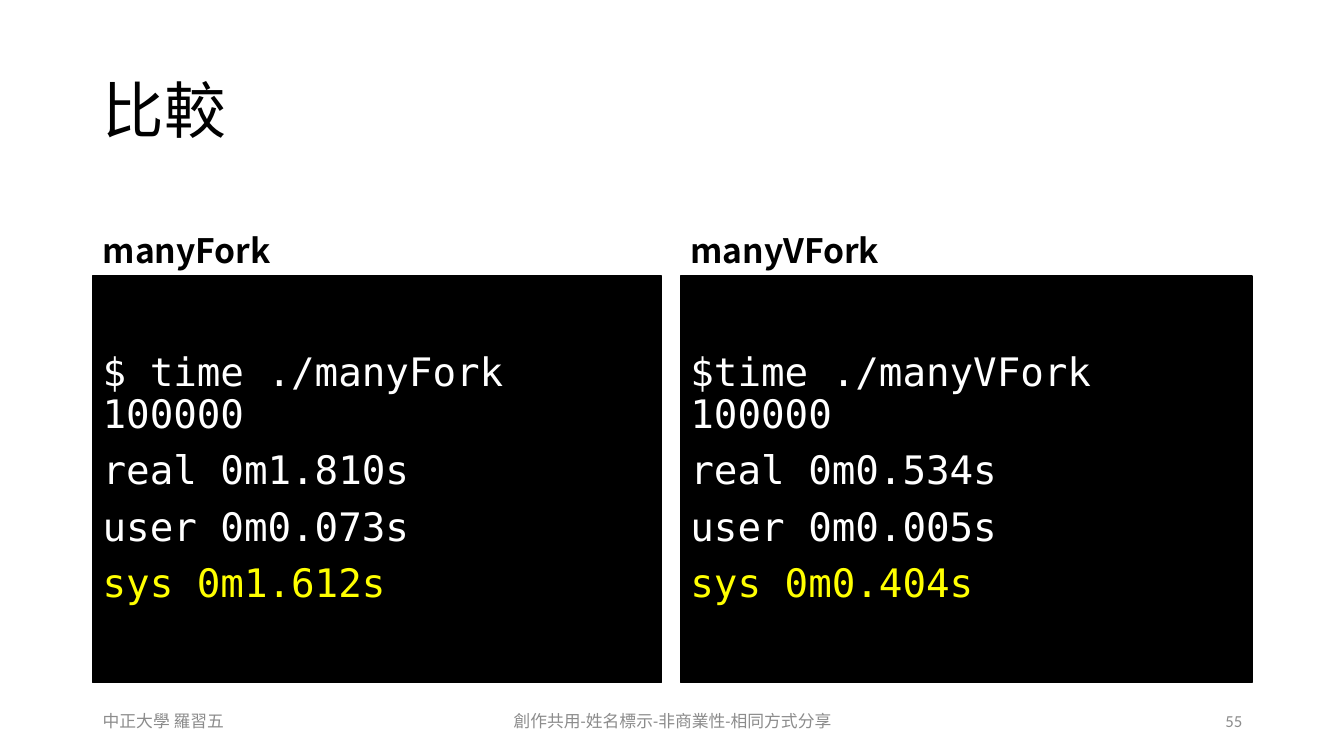
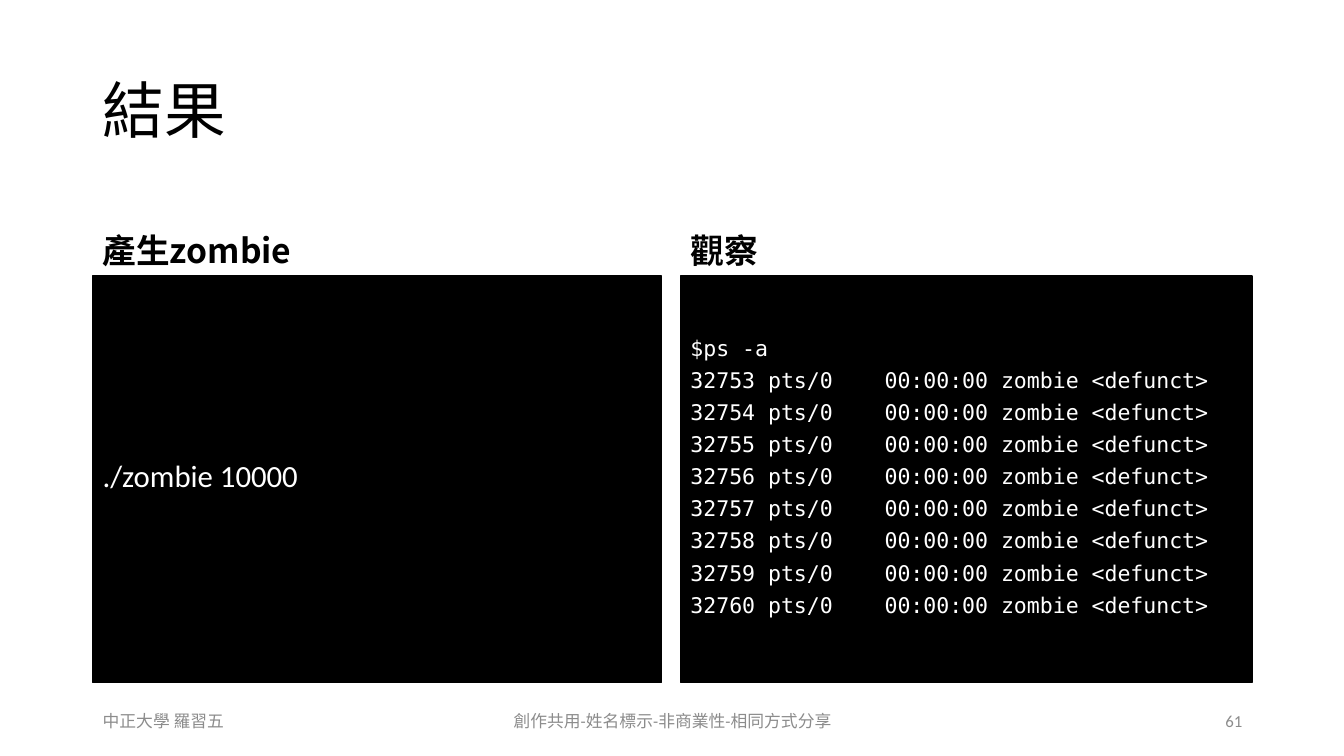
from pptx import Presentation
from pptx.dml.color import RGBColor
from pptx.enum.shapes import MSO_SHAPE
from pptx.enum.text import MSO_ANCHOR as Anchor, PP_ALIGN as Align
from pptx.oxml.ns import qn
from pptx.util import Inches, Pt
from lxml import etree

BLACK = RGBColor(0, 0, 0)
WHITE = RGBColor(255, 255, 255)
YELLOW = RGBColor(255, 255, 0)
GRAY = RGBColor(0x8C, 0x8C, 0x8C)
SANS, MONO, LATIN = "Noto Sans CJK SC", "DejaVu Sans Mono", "Calibri"
TITLE_ONLY = 5
COLUMNS = [(0.92, 5.64), (6.75, 5.67)]
HEADING_TOP, PANEL_TOP = 1.84, 2.74

PROCESSES = [f"{pid} pts/0\u00a0 \u00a0 00:00:00 zombie <defunct>"
             for pid in range(32753, 32761)]

# Each panel: heading, lines, font, size, line spacing
SLIDES = [
    ("比較", 55, [
        ("manyFork",
         ["$ time ./manyFork 100000", "real 0m1.810s", "user 0m0.073s", "sys 0m1.612s"],
         MONO, 28, 0.9),
        ("manyVFork",
         ["$time ./manyVFork 100000", "real 0m0.534s", "user 0m0.005s", "sys 0m0.404s"],
         MONO, 28, 0.9),
    ]),
    ("結果", 61, [
        ("產生zombie", ["./zombie 10000"], LATIN, 22, 0.7),
        ("觀察", ["$ps -a", *PROCESSES], MONO, 15.4, 0.7),
    ]),
]

FOOTERS = [
    (0.92, 3, Align.LEFT, "中正大學 羅習五"),
    (4.42, 4.5, Align.CENTER, "創作共用-姓名標示-非商業性-相同方式分享"),
    (9.42, 3, Align.RIGHT, "{number}"),
]


def write(shape, lines, font, size, color, anchor, align=Align.LEFT,
          bold=False, spacing=1.0, before=0):
    """Fill a shape with one uniformly formatted paragraph per line."""
    frame = shape.text_frame
    frame.word_wrap = True
    frame.vertical_anchor = anchor
    frame.text = "\n".join(lines)
    for para in frame.paragraphs:
        para.alignment = align
        para.line_spacing = spacing
        para.space_before = Pt(before)
        for span in para.runs:
            span.font.name = font
            span.font.size = Pt(size)
            span.font.bold = bold
            span.font.color.rgb = color
            east_asian = etree.Element(qn("a:ea"), typeface=SANS)
            span.font._element.find(qn("a:latin")).addnext(east_asian)


deck = Presentation()
deck.slide_width, deck.slide_height = Inches(13.33), Inches(7.5)

for title_text, number, panels in SLIDES:
    page = deck.slides.add_slide(deck.slide_layouts[TITLE_ONLY])
    title = page.shapes.title
    title.left, title.top = Inches(0.92), Inches(0.4)
    title.width, title.height = Inches(11.5), Inches(1.45)
    write(title, [title_text], SANS, 44, BLACK, Anchor.MIDDLE, spacing=0.9)

    for (left, width), (heading_text, lines, font, size, spacing) in zip(COLUMNS, panels):
        heading = page.shapes.add_textbox(
            Inches(left), Inches(HEADING_TOP), Inches(width), Inches(0.9))
        write(heading, [heading_text], SANS, 24, BLACK, Anchor.BOTTOM,
              bold=True, spacing=0.9, before=10)

        terminal = page.shapes.add_shape(
            MSO_SHAPE.RECTANGLE, Inches(left), Inches(PANEL_TOP), Inches(width), Inches(4.03))
        terminal.shadow.inherit = False
        terminal.fill.solid()
        terminal.fill.fore_color.rgb = BLACK
        terminal.line.color.rgb = BLACK
        terminal.line.width = Pt(1)
        write(terminal, lines, font, size, WHITE, Anchor.MIDDLE, spacing=spacing, before=10)
        for para in terminal.text_frame.paragraphs:
            if para.text.startswith("sys"):
                para.runs[0].font.color.rgb = YELLOW

    for left, width, align, text in FOOTERS:
        footer = page.shapes.add_textbox(
            Inches(left), Inches(6.95), Inches(width), Inches(0.4))
        write(footer, [text.format(number=number)], LATIN, 12, GRAY, Anchor.MIDDLE, align)

deck.save("out.pptx")
